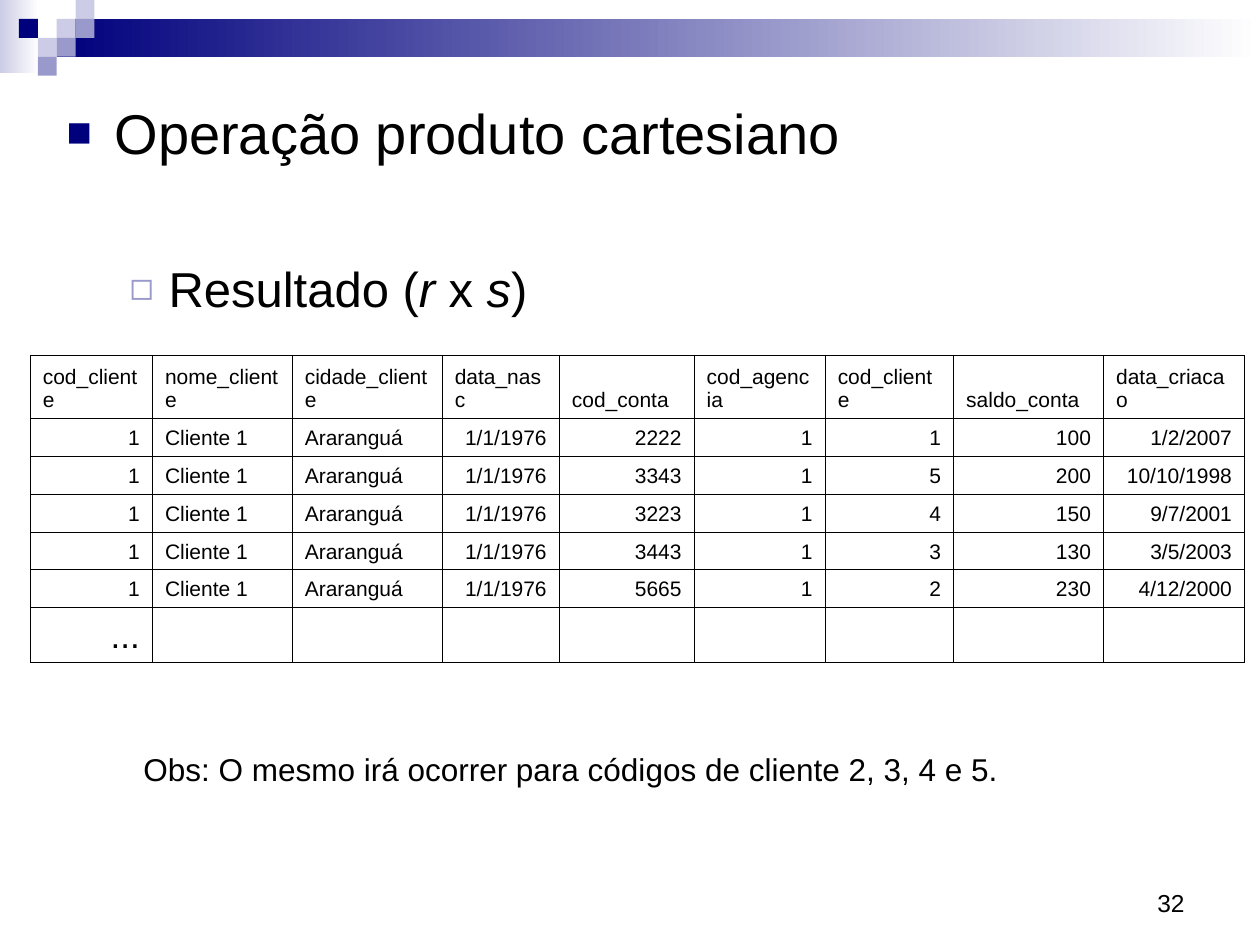
from lxml.etree import SubElement
from pptx import Presentation
from pptx.dml.color import RGBColor
from pptx.enum.shapes import MSO_SHAPE
from pptx.enum.text import MSO_ANCHOR, PP_ALIGN
from pptx.oxml.ns import qn
from pptx.util import Inches, Pt

NAVY = RGBColor(0x00, 0x00, 0x7D)
LAVENDER = RGBColor(0x99, 0x99, 0xCC)
PALE = RGBColor(0xCC, 0xCC, 0xE6)
WHITE = RGBColor(0xFF, 0xFF, 0xFF)
BLACK = RGBColor(0x00, 0x00, 0x00)

SQUARE = 0.15
SQUARES = [
    (3, 1, PALE), (4, 0, PALE), (4, 1, LAVENDER), (2, 2, PALE),
    (1, 1, NAVY), (3, 2, LAVENDER), (2, 3, LAVENDER),
]

HEADER = ["cod_cliente", "nome_cliente", "cidade_cliente", "data_nasc", "cod_conta",
          "cod_agencia", "cod_cliente", "saldo_conta", "data_criacao"]
CLIENT = ["1", "Cliente 1", "Araranguá", "1/1/1976"]
ACCOUNTS = [
    ["2222", "1", "1", "100", "1/2/2007"],
    ["3343", "1", "5", "200", "10/10/1998"],
    ["3223", "1", "4", "150", "9/7/2001"],
    ["3443", "1", "3", "130", "3/5/2003"],
    ["5665", "1", "2", "230", "4/12/2000"],
]
COLUMN_WIDTHS = [0.97, 1.11, 1.19, 0.93, 1.07, 1.04, 1.02, 1.19, 1.12]
ROW_HEIGHTS = [0.5] + [0.3] * len(ACCOUNTS) + [0.43]
TEXT_COLUMNS = (1, 2)
THIN, THICK = 0.45, 0.96


def add_rectangle(page, left, top, width, height, color, fade_to=None):
    shape = page.shapes.add_shape(
        MSO_SHAPE.RECTANGLE, Inches(left), Inches(top), Inches(width), Inches(height))
    shape.shadow.inherit = False
    shape.line.fill.background()
    if fade_to is None:
        shape.fill.solid()
        shape.fill.fore_color.rgb = color
    else:
        shape.fill.gradient()
        shape.fill.gradient_angle = 0
        for stop, stop_color in zip(shape.fill.gradient_stops, (color, fade_to)):
            stop.color.rgb = stop_color


def add_banner(page):
    add_rectangle(page, 0, 0, 0.31, 0.58, PALE, WHITE)
    add_rectangle(page, 0.45, 0.15, 9.55, 0.3, NAVY, WHITE)
    for column, row, color in SQUARES:
        add_rectangle(page, column * SQUARE, row * SQUARE, SQUARE, SQUARE, color)


def add_span(para, text, size, italic=False):
    span = para.add_run()
    span.text = text
    span.font.name = "Arial"
    span.font.size = Pt(size)
    span.font.italic = italic
    span.font.color.rgb = BLACK


def add_box(page, left, top, width, height, wrap=True):
    box = page.shapes.add_textbox(Inches(left), Inches(top), Inches(width), Inches(height))
    box.text_frame.word_wrap = wrap
    return box.text_frame


def set_bullet(para, symbol, color, percent, left, hanging):
    properties = para._p.get_or_add_pPr()
    properties.set("marL", str(Inches(left)))
    properties.set("indent", str(-Inches(hanging)))
    bullet_color = SubElement(properties, qn("a:buClr"))
    SubElement(bullet_color, qn("a:srgbClr"), val=str(color))
    SubElement(properties, qn("a:buSzPct"), val=str(percent * 1000))
    SubElement(properties, qn("a:buFont"), typeface="Arial")
    SubElement(properties, qn("a:buChar"), char=symbol)


def add_outline(page):
    frame = add_box(page, 0.43, 0.68, 9.19, 1.97)
    frame.margin_top = Inches(0.1)
    heading = frame.paragraphs[0]
    set_bullet(heading, "■", NAVY, 75, 0.38, 0.38)
    add_span(heading, "Operação produto cartesiano", 32)
    result = frame.add_paragraph()
    result.level = 1
    result.space_before = Pt(53)
    set_bullet(result, "◻", LAVENDER, 80, 0.81, 0.31)
    for text, italic in [("Resultado (", False), ("r", True), (" x ", False),
                         ("s", True), (")", False)]:
        add_span(result, text, 28, italic)


def set_borders(cell, top, bottom):
    properties = cell._tc.get_or_add_tcPr()
    sides = [("a:lnL", THIN), ("a:lnR", THIN), ("a:lnT", top), ("a:lnB", bottom)]
    for position, (side, width) in enumerate(sides):
        line = properties.makeelement(qn(side), {"w": str(Pt(width))})
        fill = SubElement(line, qn("a:solidFill"))
        SubElement(fill, qn("a:srgbClr"), val=str(BLACK))
        properties.insert(position, line)


def add_result_table(page):
    rows = [HEADER] + [CLIENT + account for account in ACCOUNTS]
    rows.append(["..."] + [""] * (len(HEADER) - 1))
    last = len(rows) - 1
    table = page.shapes.add_table(
        len(rows), len(HEADER), Inches(0.24), Inches(2.82),
        Inches(sum(COLUMN_WIDTHS)), Inches(sum(ROW_HEIGHTS))).table
    table.first_row = False
    table.horz_banding = False
    for column, width in zip(table.columns, COLUMN_WIDTHS):
        column.width = Inches(width)
    for row, height in zip(table.rows, ROW_HEIGHTS):
        row.height = Inches(height)
    for row_index, row in enumerate(rows):
        top = THICK if row_index in (1, last) else THIN
        bottom = THICK if row_index in (0, last - 1) else THIN
        for column_index, text in enumerate(row):
            cell = table.cell(row_index, column_index)
            cell.fill.background()
            cell.vertical_anchor = MSO_ANCHOR.BOTTOM
            set_borders(cell, top, bottom)
            if text:
                para = cell.text_frame.paragraphs[0]
                if row_index > 0 and column_index not in TEXT_COLUMNS:
                    para.alignment = PP_ALIGN.RIGHT
                add_span(para, text, 20 if row_index == last else 12)


def add_note(page):
    frame = add_box(page, 1.04, 5.9, 6.98, 0.4, wrap=False)
    add_span(frame.paragraphs[0],
             "Obs: O mesmo irá ocorrer para códigos de cliente 2, 3, 4 e 5.", 18)


def add_page_number(page):
    frame = add_box(page, 7.17, 6.83, 2.33, 0.5)
    frame.vertical_anchor = MSO_ANCHOR.BOTTOM
    frame.paragraphs[0].alignment = PP_ALIGN.RIGHT
    add_span(frame.paragraphs[0], "32", 14)


def main():
    deck = Presentation()
    deck.slide_width = Inches(10)
    deck.slide_height = Inches(7.5)
    page = deck.slides.add_slide(deck.slide_layouts[6])
    add_banner(page)
    add_page_number(page)
    add_outline(page)
    add_result_table(page)
    add_note(page)
    deck.save("out.pptx")


if __name__ == "__main__":
    main()
